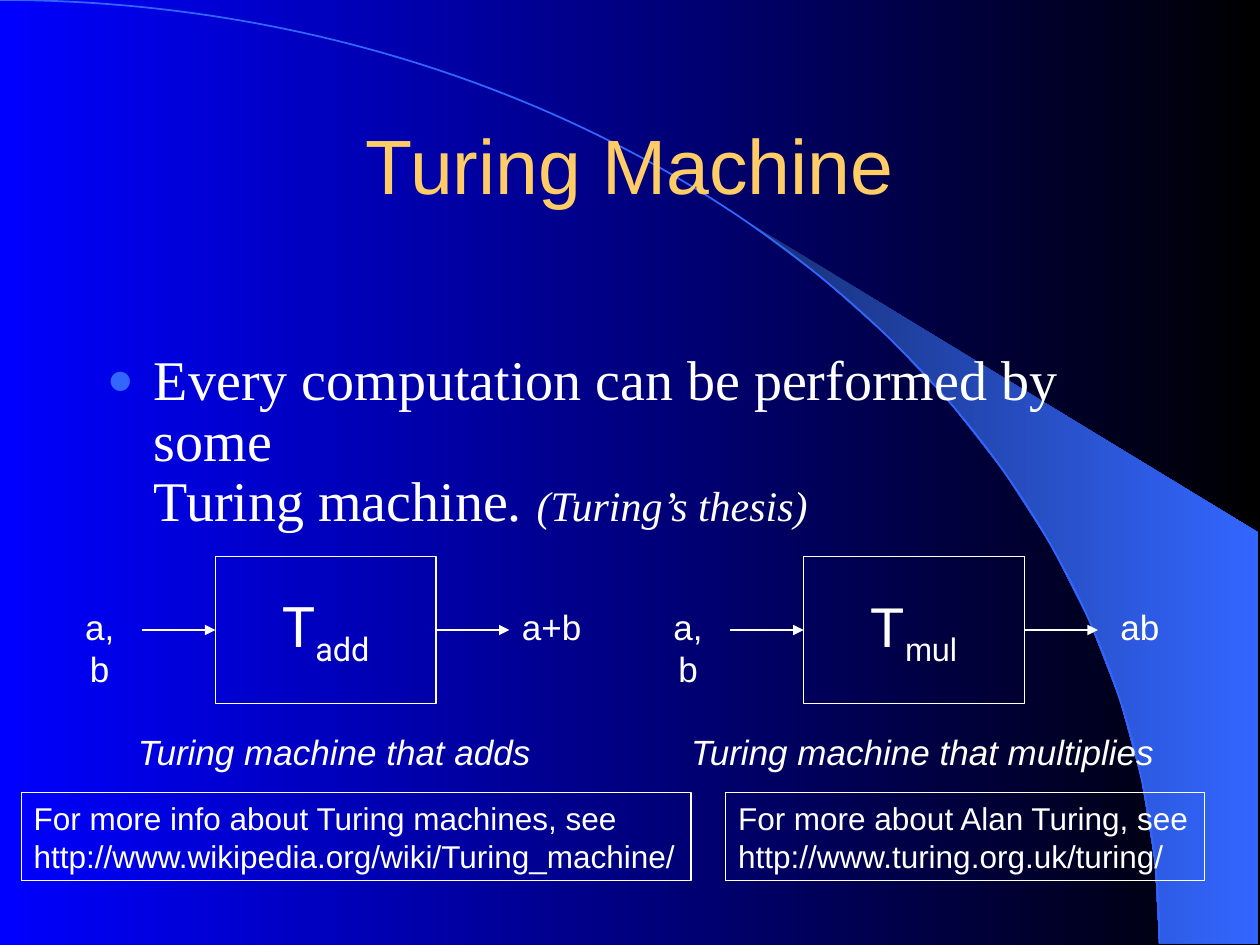
import math

from lxml import etree
from pptx import Presentation
from pptx import util as u
from pptx.dml.color import RGBColor
from pptx.enum import shapes, text
from pptx.oxml import ns

WHITE, BLUE, GOLD = "FFFFFF", "3366FF", "FFCC66"
MID, LEFT = text.PP_ALIGN.CENTER, text.PP_ALIGN.LEFT


def rgb(code):
    return RGBColor.from_string(code)


def add(parent, tag, **attrs):
    return etree.SubElement(parent, ns.qn(tag), attrs)


class Deck:
    """Holds the style and the current slide."""

    face = "Arial"
    ink = WHITE
    thin = 0.75

    def __init__(self):
        self.prs = Presentation()
        self.prs.slide_width, self.prs.slide_height = u.Cm(25.4), u.Cm(19.05)
        self.slide = self.prs.slides.add_slide(self.prs.slide_layouts[1])
        self.items = self.slide.shapes

    def fade(self, fill, start, end):
        fill.gradient()
        fill.gradient_angle = 0
        for stop, code in zip(fill.gradient_stops, (start, end)):
            stop.color.rgb = rgb(code)

    def font(self, para, size, face=None, ink=None, slant=False):
        para.font.name = face or self.face
        para.font.size = u.Pt(size)
        para.font.color.rgb = rgb(ink or self.ink)
        para.font.italic = slant

    def words(self, frame, lines, size, align=MID, **style):
        frame.word_wrap = False
        for i, line in enumerate(lines):
            para = frame.add_paragraph() if i else frame.paragraphs[0]
            para.text = line
            para.alignment = align
            self.font(para, size, **style)

    def move(self, shape, x, y, w, h):
        shape.left, shape.top = u.Cm(x), u.Cm(y)
        shape.width, shape.height = u.Cm(w), u.Cm(h)

    def back(self, shape, level):
        shape.shadow.inherit = False
        self.items.element.insert(2 + level, shape.element)

    # Backdrop: a wedge that follows a quarter ellipse, and its outline
    def sweep(self, rx, ry, right, low):
        first = 39.8
        arc = [(rx * math.sin(t), ry * (1 - math.cos(t)))
               for t in map(math.radians, [first, *range(45, 91, 5)])]
        pen = self.items.build_freeform(*map(u.Cm, arc[0]))
        pen.add_line_segments([(u.Cm(x), u.Cm(y)) for x, y in
                               arc[1:] + [(right, ry), (right, low)]])
        wedge = pen.convert_to_shape()
        self.fade(wedge.fill, "172F75", BLUE)
        wedge.line.fill.background()
        self.back(wedge, 0)

        curve = self.items.add_shape(shapes.MSO_SHAPE.ARC, u.Cm(-rx), 0,
                                     u.Cm(2 * rx), u.Cm(2 * ry))
        curve.fill.background()
        curve.line.color.rgb = rgb(BLUE)
        curve.line.width = u.Pt(1)
        self.back(curve, 1)

    def title(self, name, *place):
        self.move(self.items.title, *place)
        frame = self.items.title.text_frame
        frame.vertical_anchor = text.MSO_ANCHOR.MIDDLE
        self.words(frame, [name], 44, ink=GOLD)

    def bullet(self, claim, aside, *place):
        body = self.slide.placeholders[1]
        self.move(body, *place)
        frame = body.text_frame
        frame.auto_size = text.MSO_AUTO_SIZE.NONE
        frame.vertical_anchor = text.MSO_ANCHOR.TOP
        frame.margin_top = u.Cm(1.6)
        para = frame.paragraphs[0]
        para.text = claim
        props = para._p.get_or_add_pPr()
        props.set("marL", str(u.Cm(0.95)))
        props.set("indent", str(u.Cm(-0.95)))
        add(add(props, "a:buClr"), "a:srgbClr", val=BLUE)
        add(props, "a:buSzPct", val="80000")
        add(props, "a:buChar", char="●")
        para.line_spacing = 0.9
        para.space_before = u.Pt(0)
        self.font(para, 32, face="Times New Roman")
        run = para.add_run()
        run.text = aside
        run.font.size, run.font.italic = u.Pt(24), True

    def box(self, x, y, w, h):
        shape = self.items.add_shape(shapes.MSO_SHAPE.RECTANGLE,
                                     *map(u.Cm, (x, y, w, h)))
        shape.shadow.inherit = False
        shape.fill.background()
        shape.line.color.rgb = rgb(self.ink)
        shape.line.width = u.Pt(self.thin)
        return shape.text_frame

    def label(self, mid, y, w, line, slant=False):
        place = (mid - w / 2, y, w, 1.12)
        frame = self.items.add_textbox(*map(u.Cm, place)).text_frame
        self.words(frame, [line], 20, slant=slant)

    def arrow(self, x, y, size):
        line = self.items.add_connector(shapes.MSO_CONNECTOR.STRAIGHT,
                                        *map(u.Cm, (x, y, x + size, y)))
        line.line.color.rgb = rgb(self.ink)
        line.line.width = u.Pt(self.thin)
        props = line.element.spPr
        add(props.find(ns.qn("a:ln")), "a:tailEnd", type="triangle")
        add(props, "a:effectLst")

    # One machine: input, box with subscripted name, output, caption
    def engine(self, x, sub, out, note, wide, face):
        w, h, gap, mid = 4.45, 2.96, 1.48, 12.7
        frame = self.box(x, mid - h / 2, w, h)
        frame.vertical_anchor = text.MSO_ANCHOR.MIDDLE
        self.words(frame, ["T"], 32, face=face)
        run = frame.paragraphs[0].add_run()
        run.text = sub
        run._r.get_or_add_rPr().set("baseline", "-25000")
        self.arrow(x - gap, mid, gap)
        self.arrow(x + w, mid, gap)
        self.label(x - 2.33, 12.09, 1.48, "a,b")
        self.label(x + 6.78, 12.09, 1.7, out)
        self.label(x + 2.4, 14.61, wide, note, slant=True)

    def info(self, x, w, *lines):
        frame = self.box(x, 15.98, w, 1.77)
        frame.vertical_anchor = text.MSO_ANCHOR.TOP
        self.words(frame, lines, 18, align=LEFT)


def main():
    deck = Deck()
    deck.fade(deck.slide.background.fill, "0000FF", "000000")
    deck.sweep(23.37, 19.02, 25.37, 10.74)

    # Heading and claim
    deck.title("Turing Machine", 1.9, 1.7, 21.6, 3.18)
    deck.bullet("Every computation can be performed by some\vTuring machine. ",
                "(Turing’s thesis)", 1.9, 5.5, 20.45, 6.48)

    # Two machines side by side
    deck.engine(4.34, "add", "a+b", "Turing machine that adds", 8.48, "Roboto")
    deck.engine(16.2, "mul", "ab", "Turing machine that multiplies", 9.88,
                "Arial")

    # Further reading
    deck.info(0.43, 13.5, "For more info about Turing machines, see",
              "http://www.wikipedia.org/wiki/Turing_machine/")
    deck.info(14.63, 9.65, "For more about Alan Turing, see",
              "http://www.turing.org.uk/turing/")

    deck.prs.save("out.pptx")


if __name__ == "__main__":
    main()
